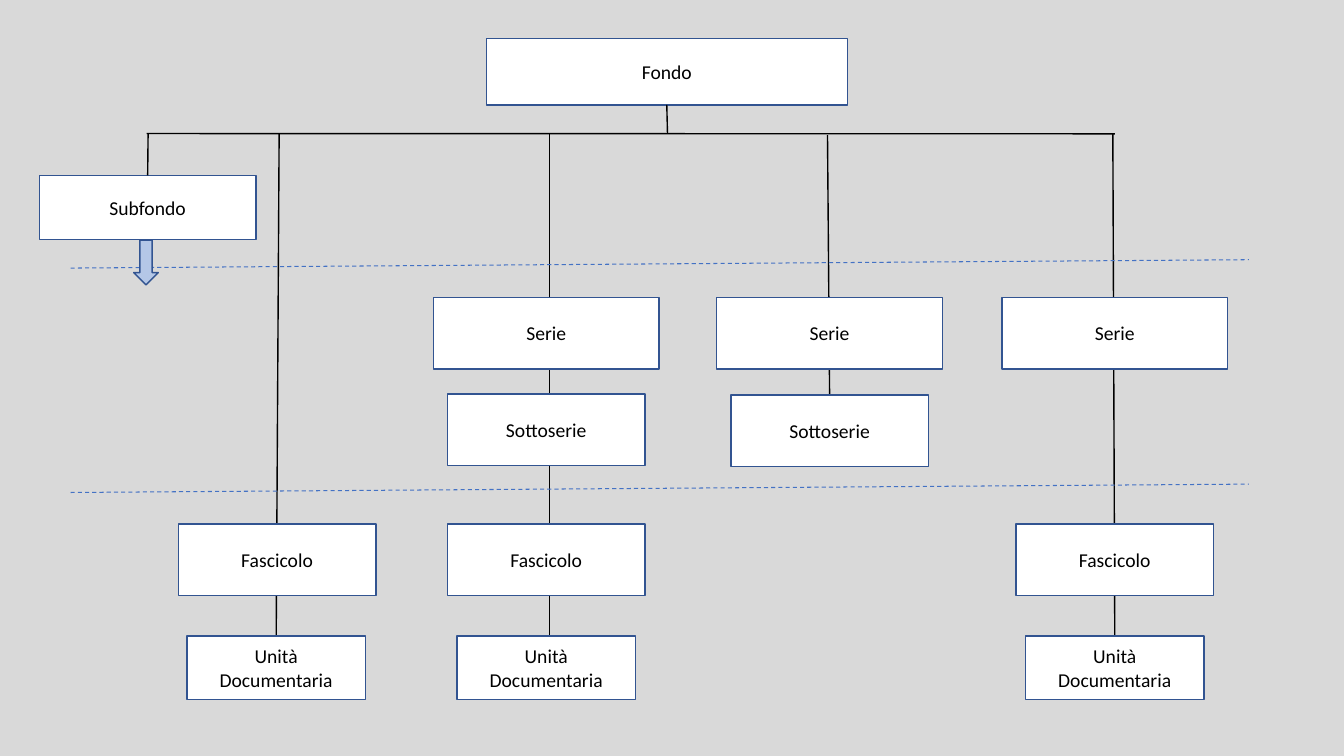
import pptx
import pptx.util
import pptx.dml.color
import pptx.enum.dml
import pptx.enum.shapes
import pptx.enum.text
import pptx.oxml

Pt = pptx.util.Pt
SHAPES = pptx.enum.shapes.MSO_SHAPE
COLORS = {
    "page": "D9D9D9", "box": "FFFFFF", "border": "325491", "text": "000000",
    "branch": "000000", "divider": "4472C4", "arrow": "B4C7E7",
}
LEVEL_SIZES = {
    "Fondo": (257.8, 47.5), "Subfondo": (154.8, 46), "Serie": (161.3, 51.1),
    "Sottoserie": (141.1, 51.1), "Fascicolo": (141.1, 51.1),
    "Unità Documentaria": (127.4, 45.4),
}
LEVEL_PLACES = {
    "Fondo": [(476.3, 27.4)],
    "Subfondo": [(105.5, 125.3)],
    "Serie": [(390.2, 212.4), (592.6, 212.4), (796.3, 212.4)],
    "Sottoserie": [(390.2, 281.5), (592.6, 282.2)],
    "Fascicolo": [(198, 374.4), (390.2, 374.4), (796.3, 374.4)],
    "Unità Documentaria": [(197.3, 454.3), (390.2, 454.3), (796.3, 454.3)],
}
BUS_TOP = 95.4


class ChartPage:
    """Holds the style and the current slide of a hierarchy chart."""

    def __init__(self, deck):
        self.page = deck.slides.add_slide(deck.slide_layouts[6])
        self.font = {"name": "Calibri", "size": Pt(14), "color": "text"}
        self.paint(self.page.background.fill, "page")

    def color(self, name):
        return pptx.dml.color.RGBColor.from_string(COLORS[name])

    def paint(self, fill, name):
        fill.solid()
        fill.fore_color.rgb = self.color(name)

    def shape(self, kind, left, top, width, height, fill):
        shape = self.page.shapes.add_shape(
            kind, Pt(left), Pt(top), Pt(width), Pt(height))
        shape.shadow.inherit = False
        self.paint(shape.fill, fill)
        shape.line.color.rgb = self.color("border")
        shape.line.width = Pt(1)
        return shape

    def box(self, text, center, top):
        width, height = LEVEL_SIZES[text]
        box = self.shape(SHAPES.RECTANGLE, center - width / 2, top,
                         width, height, "box")
        frame = box.text_frame
        frame.word_wrap = True
        frame.vertical_anchor = pptx.enum.text.MSO_ANCHOR.MIDDLE
        para = frame.paragraphs[0]
        para.alignment = pptx.enum.text.PP_ALIGN.CENTER
        span = para.add_run()
        span.text = text
        for key, value in self.font.items():
            if key == "color":
                span.font.color.rgb = self.color(value)
            else:
                setattr(span.font, key, value)
        return box

    def line(self, start, end, color="branch", width=1, dash=None):
        line = self.page.shapes.add_connector(
            pptx.enum.shapes.MSO_CONNECTOR.STRAIGHT,
            *(Pt(value) for value in start + end))
        line.line.color.rgb = self.color(color)
        formats = {"width": Pt(width), "dash_style": dash}
        for key, value in formats.items():
            setattr(line.line, key, value)
        line.element.spPr.append(pptx.oxml.parse_xml(
            '<a:effectLst xmlns:a='
            '"http://schemas.openxmlformats.org/drawingml/2006/main"/>'))
        return line


def main():
    deck = pptx.Presentation()
    deck.slide_width, deck.slide_height = Pt(960), Pt(540)
    chart = ChartPage(deck)

    third = chart.line((592.6, 282.2), (591.1, 96.5))
    first = chart.line((197.3, 454.3), (199.4, BUS_TOP))
    fourth = chart.line((796.3, 454.3), (794.9, BUS_TOP))
    chart.line((392.4, 456.5), (392.4, BUS_TOP))

    boxes = {
        text: [chart.box(text, *place) for place in places]
        for text, places in LEVEL_PLACES.items()
    }
    units = boxes["Unità Documentaria"]
    first.begin_connect(units[0], 0)
    third.begin_connect(boxes["Sottoserie"][1], 0)
    fourth.begin_connect(units[2], 0)

    chart.line((105.5, 125.3), (105.8, BUS_TOP)).begin_connect(
        boxes["Subfondo"][0], 0)
    chart.line((104.8, BUS_TOP), (796.3, 95.6))
    chart.line((476.3, 74.9), (476.8, 95.6)).begin_connect(
        boxes["Fondo"][0], 2)

    for left_end, right_end in ((191.5, 185.5), (351.8, 345.8)):
        chart.line((50.4, left_end), (892.1, right_end), "divider", 0.75,
                   pptx.enum.dml.MSO_LINE.DASH)
    chart.shape(SHAPES.DOWN_ARROW, 95.5, 171.5, 17.6, 32, "arrow")

    deck.save("out.pptx")


if __name__ == "__main__":
    main()
